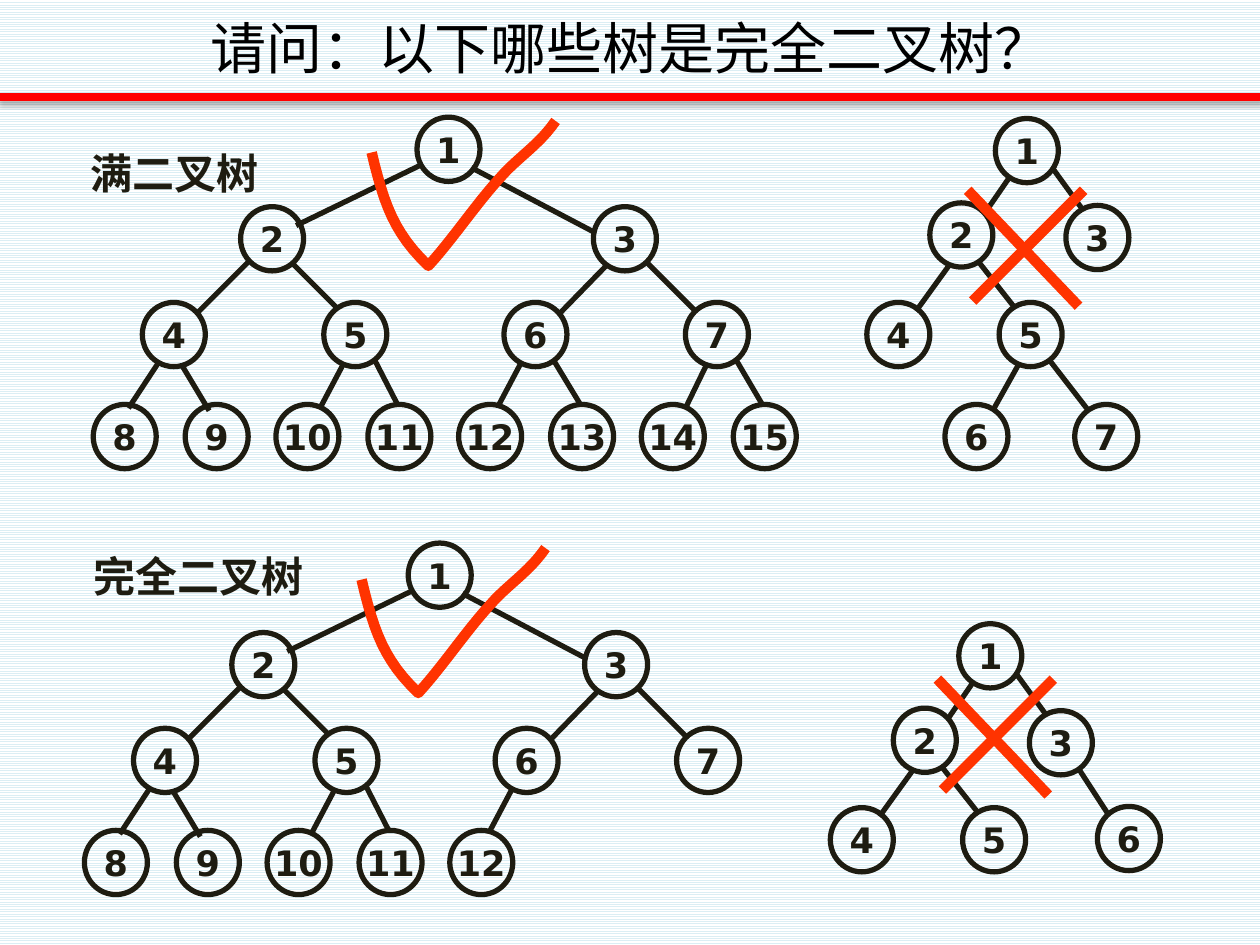
import pptx
import pptx.dml.color
import pptx.enum.dml
import pptx.enum.shapes
import pptx.enum.text
import pptx.oxml.ns
import pptx.util
from lxml import etree

EMU_PER_PX = 9144  # 100 px to the inch
COLORS = {"ink": "1E1C11", "mark": "FF3300", "rule": "FF0000", "title": "000000",
          "stripe": "DBEEF4", "paper": "FFFFFF"}
NUMBER = {"name": "DejaVu Sans", "size": pptx.util.Pt(20), "bold": True}
LABEL = {"name": "Noto Sans CJK SC", "size": pptx.util.Pt(24), "bold": True}
TITLE = {"name": "Noto Sans CJK SC", "size": pptx.util.Pt(32), "bold": False}
NODE_W, NODE_H = 50, 51

# Full tree: each row is top, first left, last left, node count
FULL_ROWS = [(93, 331, 331, 1), (164, 191, 471, 2), (240, 113, 544, 4), (321, 74, 582, 8)]
# Edges by child number: start x, start y, end x, end y
FULL_EDGES = {
    2: (334, 131, 235, 179), 3: (374, 133, 473, 185),
    4: (197, 208, 156, 249), 5: (231, 208, 268, 245),
    6: (482, 210, 444, 249), 7: (513, 208, 552, 247),
    8: (125, 289, 102, 324), 9: (145, 291, 166, 326),
    10: (273, 288, 255, 322), 11: (297, 285, 316, 322),
    12: (413, 289, 395, 323), 13: (440, 287, 460, 320),
    14: (561, 289, 544, 324), 15: (585, 287, 605, 321),
}
# Small trees share their first five nodes
SMALL_NODES = {1: (790, 94), 2: (738, 161), 3: (846, 163), 4: (688, 240), 5: (793, 240)}
SMALL_EDGES = {2: (801, 141, 781, 170), 3: (835, 133, 859, 166),
               4: (753, 211, 727, 247), 5: (776, 207, 806, 245)}
UNDER_FIVE = {6: (750, 321), 7: (853, 321)}
UNDER_FIVE_EDGES = {6: (808, 290, 789, 324), 7: (833, 286, 864, 326)}
UNDER_THREE = {6: (900, 239)}
UNDER_THREE_EDGES = {6: (885, 209, 909, 246)}
# Tick as Bezier segments, relative to its left top corner
TICK = [((0, 25), (10, 67), (18, 89), (45, 115)),
        ((45, 115), (65, 93), (82, 67), (102, 45)),
        ((102, 45), (116, 29), (133, 19), (146, 0))]


def px(length):
    return round(length * EMU_PER_PX)


def rgb(name):
    return pptx.dml.color.RGBColor.from_string(COLORS[name])


def bezier(points, t):
    weights = ((1 - t) ** 3, 3 * t * (1 - t) ** 2, 3 * t * t * (1 - t), t ** 3)
    return tuple(sum(w * p[axis] for w, p in zip(weights, points)) for axis in (0, 1))


class Board:
    """Holds the current slide and its drawing style."""

    def __init__(self, slide):
        self.slide = slide
        fill = slide.background.fill
        fill.patterned()
        fill.pattern = pptx.enum.dml.MSO_PATTERN.LIGHT_HORIZONTAL
        fill.fore_color.rgb = rgb("stripe")
        fill.back_color.rgb = rgb("paper")

    def stroke(self, line, color, width):
        line.color.rgb = rgb(color)
        line.width = pptx.util.Pt(width)

    def set_text(self, shape, text, style, color, wrap=True, anchor="MIDDLE"):
        frame = shape.text_frame
        frame.word_wrap = wrap
        frame.vertical_anchor = pptx.enum.text.MSO_ANCHOR[anchor]
        paragraph = frame.paragraphs[0]
        paragraph.alignment = pptx.enum.text.PP_ALIGN.CENTER
        run = paragraph.add_run()
        run.text = text
        for attribute, value in style.items():
            setattr(run.font, attribute, value)
        run.font.color.rgb = rgb(color)
        east_asian = etree.SubElement(run.font._element, pptx.oxml.ns.qn("a:ea"))
        east_asian.set("typeface", style["name"])
        return frame

    def title(self, text, left, top, width, height):
        heading = self.slide.shapes.title
        heading.left, heading.top = px(left), px(top)
        heading.width, heading.height = px(width), px(height)
        frame = self.set_text(heading, text, TITLE, "title")
        frame.auto_size = pptx.enum.text.MSO_AUTO_SIZE.NONE

    def label(self, text, left, top, width, height):
        box = self.slide.shapes.add_textbox(px(left), px(top), px(width), px(height))
        frame = self.set_text(box, text, LABEL, "ink", anchor="TOP")
        frame.auto_size = pptx.enum.text.MSO_AUTO_SIZE.SHAPE_TO_FIT_TEXT

    def line(self, shapes, ends, color, width):
        connector = shapes.add_connector(
            pptx.enum.shapes.MSO_CONNECTOR.STRAIGHT, *(px(end) for end in ends))
        self.stroke(connector.line, color, width)
        return etree.SubElement(connector._element.spPr, pptx.oxml.ns.qn("a:effectLst"))

    def rule(self, ends):
        effects = self.line(self.slide.shapes, ends, "rule", 4.5)
        shadow = etree.SubElement(effects, pptx.oxml.ns.qn("a:outerShdw"), blurRad="39370",
                                  dist="22860", dir="5400000", rotWithShape="0")
        black = etree.SubElement(shadow, pptx.oxml.ns.qn("a:srgbClr"), val="000000")
        etree.SubElement(black, pptx.oxml.ns.qn("a:alpha"), val="35000")

    def node(self, shapes, number, left, top):
        circle = shapes.add_shape(pptx.enum.shapes.MSO_SHAPE.OVAL,
                                  px(left), px(top), px(NODE_W), px(NODE_H))
        circle.shadow.inherit = False
        circle.fill.background()
        self.stroke(circle.line, "ink", 3)
        self.set_text(circle, str(number), NUMBER, "ink", wrap=False)

    def tree(self, nodes, edges, dx=0, dy=0):
        shapes = self.slide.shapes.add_group_shape().shapes
        for number, (left, top) in nodes.items():
            self.node(shapes, number, left + dx, top + dy)
        for x1, y1, x2, y2 in edges.values():
            self.line(shapes, (x1 + dx, y1 + dy, x2 + dx, y2 + dy), "ink", 3)

    def tick(self, left, top, steps=12):
        points = [TICK[0][0]] + [bezier(segment, step / steps)
                                 for segment in TICK for step in range(1, steps + 1)]
        points = [(px(left + x), px(top + y)) for x, y in points]
        builder = self.slide.shapes.build_freeform(*points[0])
        builder.add_line_segments(points[1:], close=False)
        mark = builder.convert_to_shape()
        mark.shadow.inherit = False
        mark.fill.background()
        self.stroke(mark.line, "mark", 6)

    def cross(self, left, top):
        shapes = self.slide.shapes.add_group_shape().shapes
        self.line(shapes, (left + 92, top, left + 4, top + 88), "mark", 6)
        self.line(shapes, (left, top, left + 88, top + 92), "mark", 6)


def up_to(last, items):
    return {number: item for number, item in items.items() if number <= last}


def full_nodes():
    nodes = {}
    for top, first, last, count in FULL_ROWS:
        step = (last - first) / max(count - 1, 1)
        for i in range(count):
            nodes[count + i] = (round(first + i * step), top)
    return nodes


def main():
    deck = pptx.Presentation()
    deck.slide_width, deck.slide_height = px(1000), px(750)
    board = Board(deck.slides.add_slide(deck.slide_layouts[5]))

    # Heading
    board.rule((-1, 77, 1001, 77))
    board.title("请问：以下哪些树是完全二叉树？", 0, 5, 1001, 65)

    # Full tree, and the complete tree cut off after node 12
    nodes = full_nodes()
    board.tree(nodes, FULL_EDGES)
    board.tree(up_to(12, nodes), up_to(12, FULL_EDGES), -7, 338)

    # Trees that are not complete
    board.tree({**SMALL_NODES, **UNDER_FIVE}, {**SMALL_EDGES, **UNDER_FIVE_EDGES})
    board.tree({**SMALL_NODES, **UNDER_THREE}, {**SMALL_EDGES, **UNDER_THREE_EDGES}, -29, 401)

    # Verdicts and labels
    board.tick(295, 96)
    board.tick(287, 435)
    board.cross(768, 151)
    board.cross(744, 539)
    board.label("满二叉树", 21, 112, 235, 50)
    board.label("完全二叉树", 35, 432, 245, 50)

    deck.save("out.pptx")


if __name__ == "__main__":
    main()
